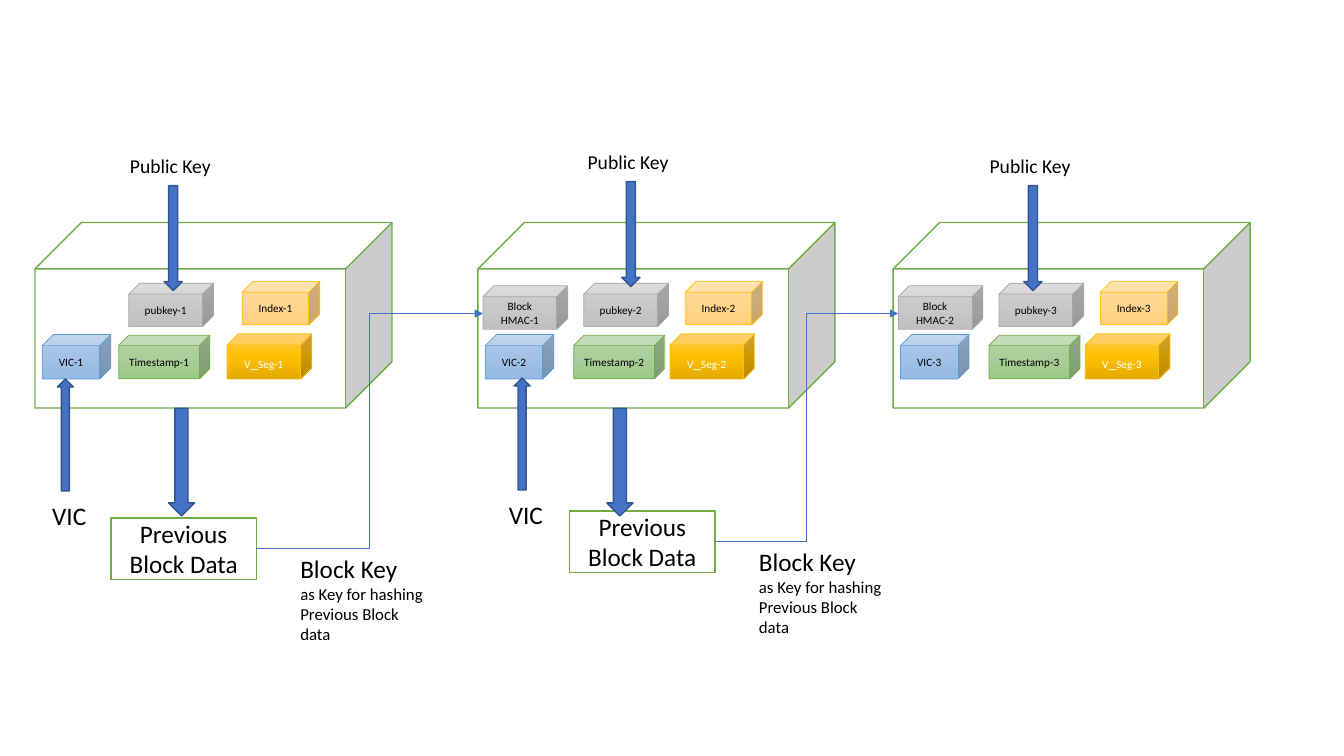
"""Build a slide showing three chained blocks with their keys and hashed data."""
from copy import deepcopy

from pptx import Presentation
from pptx.dml.color import RGBColor
from pptx.enum.shapes import MSO_CONNECTOR as Connector, MSO_SHAPE as Preset
from pptx.enum.text import MSO_ANCHOR as Anchor, PP_ALIGN as Align
from pptx.oxml.ns import qn
from pptx.util import Pt
from lxml.etree import SubElement

GREEN, BLUE, DARK_BLUE, WHITE, BLACK = "70AD47", "4472C4", "325491", "FFFFFF", "000000"
GREY_CUBE = (("D2D2D2", "C8C8C8", "C0C0C0"), "A5A5A5")
PEACH_CUBE = (("FFDB9E", "FFD590", "FFD07C"), "FFC000")
BLUE_CUBE = (("B1CBE9", "A3C1E5", "93B9E4"), "5B9BD5")
GREEN_CUBE = (("B5D5A7", "AACE9A", "9CC987"), GREEN)
GOLD_CUBE = (("FFC64B", "FFC000", "E3AB00"), "FFC000")


def rgb(value):
    return RGBColor.from_string(value)


def write_text(shape, *paragraphs, size=8, color=BLACK, align=Align.LEFT,
               anchor=Anchor.TOP, font="Calibri"):
    frame = shape.text_frame
    frame.word_wrap = True
    frame.vertical_anchor = anchor
    for index, runs in enumerate(paragraphs):
        paragraph = frame.add_paragraph() if index else frame.paragraphs[0]
        paragraph.alignment = align
        for text, run_size in [(runs, size)] if isinstance(runs, str) else runs:
            run = paragraph.add_run()
            run.text = text
            run.font.size = Pt(run_size)
            run.font.name = font
            run.font.color.rgb = rgb(color)


class Diagram:
    def __init__(self, slide):
        self.slide = slide

    def shape(self, preset, left, top, width, height, fill, line, weight=1):
        shape = self.slide.shapes.add_shape(preset, Pt(left), Pt(top), Pt(width), Pt(height))
        shape.shadow.inherit = False
        shape.line.color.rgb = rgb(line)
        shape.line.width = Pt(weight)
        if isinstance(fill, str):
            shape.fill.solid()
            shape.fill.fore_color.rgb = rgb(fill)
        else:
            self.gradient(shape, fill)
        return shape

    def gradient(self, shape, colors):
        shape.fill.gradient()
        shape.fill.gradient_angle = 270
        stops = shape._element.spPr.find(".//" + qn("a:gsLst"))
        stops.append(deepcopy(stops[0]))
        for stop, position, color in zip(shape.fill.gradient_stops, (0, 0.5, 1), colors):
            stop.position = position
            stop.color.rgb = rgb(color)

    def field(self, runs, left, top, width, height, style, color=BLACK):
        fill, line = style
        cube = self.shape(Preset.CUBE, left, top, width, height, fill, line, 0.5)
        write_text(cube, runs, color=color, align=Align.CENTER, anchor=Anchor.MIDDLE)
        return cube

    def arrow(self, left, top, width, height, preset=Preset.DOWN_ARROW):
        self.shape(preset, left, top, width, height, BLUE, DARK_BLUE)

    def label(self, left, top, width, height, *paragraphs, size=18):
        box = self.slide.shapes.add_textbox(Pt(left), Pt(top), Pt(width), Pt(height))
        write_text(box, *paragraphs, size=size)

    def link(self, start_x, start_y, end_x, end_y):
        link = self.slide.shapes.add_connector(
            Connector.ELBOW, Pt(start_x), Pt(start_y), Pt(end_x), Pt(end_y))
        link.line.color.rgb = rgb(BLUE)
        link.line.width = Pt(0.5)
        SubElement(link.line._get_or_add_ln(), qn("a:tailEnd"), type="triangle")
        SubElement(link._element.spPr, qn("a:effectLst"))

    def block(self, number, left):
        self.shape(Preset.CUBE, left, 159, 255, 132.5, WHITE, GREEN)
        shift = 0 if number > 1 else -8.6
        self.field(f"pubkey-{number}", left + 75.6 + shift, 202.3, 60.5, 31, GREY_CUBE)
        self.field(f"Index-{number}", left + 148, 201, 55.4, 31, PEACH_CUBE)
        self.field(f"VIC-{number}", left + 5.2, 239, 49, 31.7, BLUE_CUBE)
        timestamp = self.field(f"Timestamp-{number}", left + 68.4 + shift, 239.5, 65, 31,
                               GREEN_CUBE)
        timestamp.adjustments[0] = 0.234
        self.field([("V", 8), ("_", 11), (f"Seg-{number}", 8)],
                   left + 137.2, 238.4, 60.5, 32.4, GOLD_CUBE, WHITE)
        if number > 1:
            self.field(f"Block HMAC-{number - 1}", left + 3.6, 204.2, 60.5, 31, GREY_CUBE)

    def public_key(self, left, top):
        self.label(left, top, 114.5, 24.5, "Public Key", size=14)
        self.arrow(left + 31.5, top + 26, 13, 75)

    def vic(self, left, top):
        self.arrow(left + 10.8, top - 82.8, 11.5, 80, Preset.UP_ARROW)
        self.label(left, top, 49, 29, "VIC")

    def previous_data(self, left, top, arrow_left, next_block):
        box = self.shape(Preset.RECTANGLE, left, top, 104, 44, WHITE, GREEN)
        write_text(box, "Previous Block Data", size=18, align=Align.CENTER,
                   anchor=Anchor.MIDDLE)
        self.arrow(arrow_left, 291.6, 18.7, 77)
        self.label(left + 128.2, top + 21.6, 104, 72.7, "Block Key",
                   [("as Key for hashing Previous Block data", 12)])
        self.link(left + 104, top + 22, next_block + 3.6, 224)


presentation = Presentation()
presentation.slide_width, presentation.slide_height = Pt(960), Pt(540)
diagram = Diagram(presentation.slides.add_slide(presentation.slide_layouts[6]))

block_lefts = (25, 344 - 2.6, 638)
for block_number, block_left in enumerate(block_lefts, 1):
    diagram.block(block_number, block_left)
for key_left, key_top in ((85.7, 106.6), (412.6, 103.7), (699.8, 106.6)):
    diagram.public_key(key_left, key_top)
for vic_left, vic_top in ((30.2, 353.5), (356.4, 352.8)):
    diagram.vic(vic_left, vic_top)
diagram.previous_data(79.2, 370, 120.3, block_lefts[1])
diagram.previous_data(406.8, 365, 433.5, block_lefts[2])

presentation.save("out.pptx")
